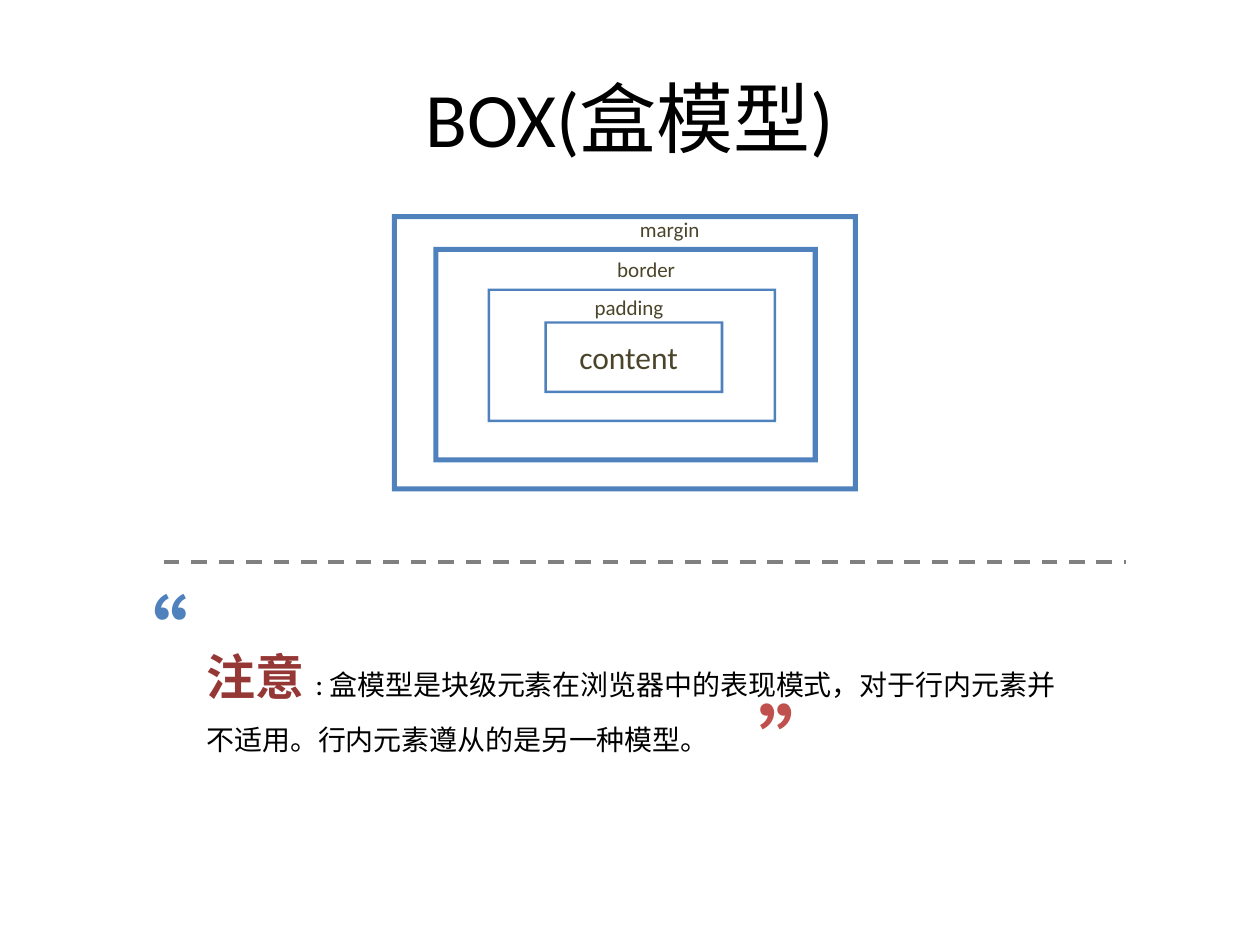
"""Build a slide that explains the box model with nested frames and a note."""
from lxml import etree
from pptx import Presentation
from pptx import util as u
from pptx.dml.color import RGBColor
from pptx.enum import dml, shapes, text
from pptx.oxml import ns

BLACK = RGBColor(0x00, 0x00, 0x00)
BLUE = RGBColor(0x4F, 0x81, 0xBD)
RED = RGBColor(0xC0, 0x50, 0x4D)
DARK_RED = RGBColor(0x95, 0x37, 0x35)
OLIVE = RGBColor(0x4A, 0x45, 0x2A)
GREY = RGBColor(0x80, 0x80, 0x80)
LATIN = "Calibri"
CHINESE = "Noto Sans CJK SC"


def add_span(para, words, color, **formats):
    span = para.add_run()
    span.text = words
    for name, value in formats.items():
        setattr(span.font, name, value)
    span.font.color.rgb = color
    east_asian = etree.SubElement(span.font._element, ns.qn("a:ea"))
    east_asian.set("typeface", CHINESE)


def add_box(page, place, **formats):
    box = page.shapes.add_textbox(*map(u.Inches, place))
    for name, value in {"word_wrap": True, **formats}.items():
        setattr(box.text_frame, name, value)
    return box.text_frame.paragraphs[0]


deck = Presentation()
deck.slide_width, deck.slide_height = u.Inches(10), u.Inches(7.5)
page = deck.slides.add_slide(deck.slide_layouts[5])

title = page.shapes.title
title_place = {"left": 0.5, "top": 0.3, "width": 9, "height": 1.25}
for name, value in title_place.items():
    setattr(title, name, u.Inches(value))
title.text_frame.vertical_anchor = text.MSO_ANCHOR.MIDDLE
para = title.text_frame.paragraphs[0]
para.alignment = text.PP_ALIGN.CENTER
add_span(para, "BOX(盒模型)", BLACK, size=u.Pt(44), name=LATIN)

note = add_box(page, (1.54, 4.85, 6.95, 1.72))
note.line_spacing = 1.5
add_span(note, "注意 ", DARK_RED, size=u.Pt(28), name=CHINESE, bold=True)
add_span(note, ":", BLACK, size=u.Pt(17), name=LATIN)
add_span(note, " 盒模型是块级元素在浏览器中的表现模式，对于行内元素并不适用。行内元素遵从的是另一种模型。",
         BLACK, size=u.Pt(16), name=LATIN)

no_margins = dict.fromkeys(
    ("margin_left", "margin_top", "margin_right", "margin_bottom"), 0)
for mark, left, top, color in (("”", 6.02, 5.48, RED), ("“", 0.83, 4.62, BLUE)):
    para = add_box(page, (left, top, 0.68, 0.81),
                   vertical_anchor=text.MSO_ANCHOR.MIDDLE, **no_margins)
    add_span(para, mark, color, size=u.Pt(48), name=CHINESE, bold=True)

divider = page.shapes.add_connector(
    shapes.MSO_CONNECTOR.STRAIGHT,
    u.Inches(1.3), u.Inches(4.46), u.Inches(8.94), u.Inches(4.46))
divider.line.color.rgb = GREY
divider.line.width = u.Pt(2.25)
divider.line.dash_style = dml.MSO_LINE.DASH
etree.SubElement(divider._element.spPr, ns.qn("a:effectLst"))

layers = (
    ("margin", (3.11, 1.7, 3.7, 2.2), 0.04, (4.98, 1.67, 1.09, 0.31), 12),
    ("border", (3.44, 1.96, 3.05, 1.71), 0.04, (4.8, 1.99, 1.09, 0.31), 12),
    ("padding", (3.87, 2.29, 2.29, 1.06), 0.02, (4.62, 2.29, 1.09, 0.31), 12),
    ("content", (4.32, 2.55, 1.42, 0.57), 0.02, (4.5, 2.63, 1.37, 0.42), 18),
)
for label, place, thickness, label_place, size in layers:
    frame = page.shapes.add_shape(shapes.MSO_SHAPE.FRAME, *map(u.Inches, place))
    frame.adjustments[0] = thickness / place[3]
    frame.shadow.inherit = False
    frame.fill.solid()
    frame.fill.fore_color.rgb = BLUE
    frame.line.fill.background()
    para = add_box(page, label_place)
    add_span(para, label, OLIVE, size=u.Pt(size), name=LATIN)

deck.save("out.pptx")
